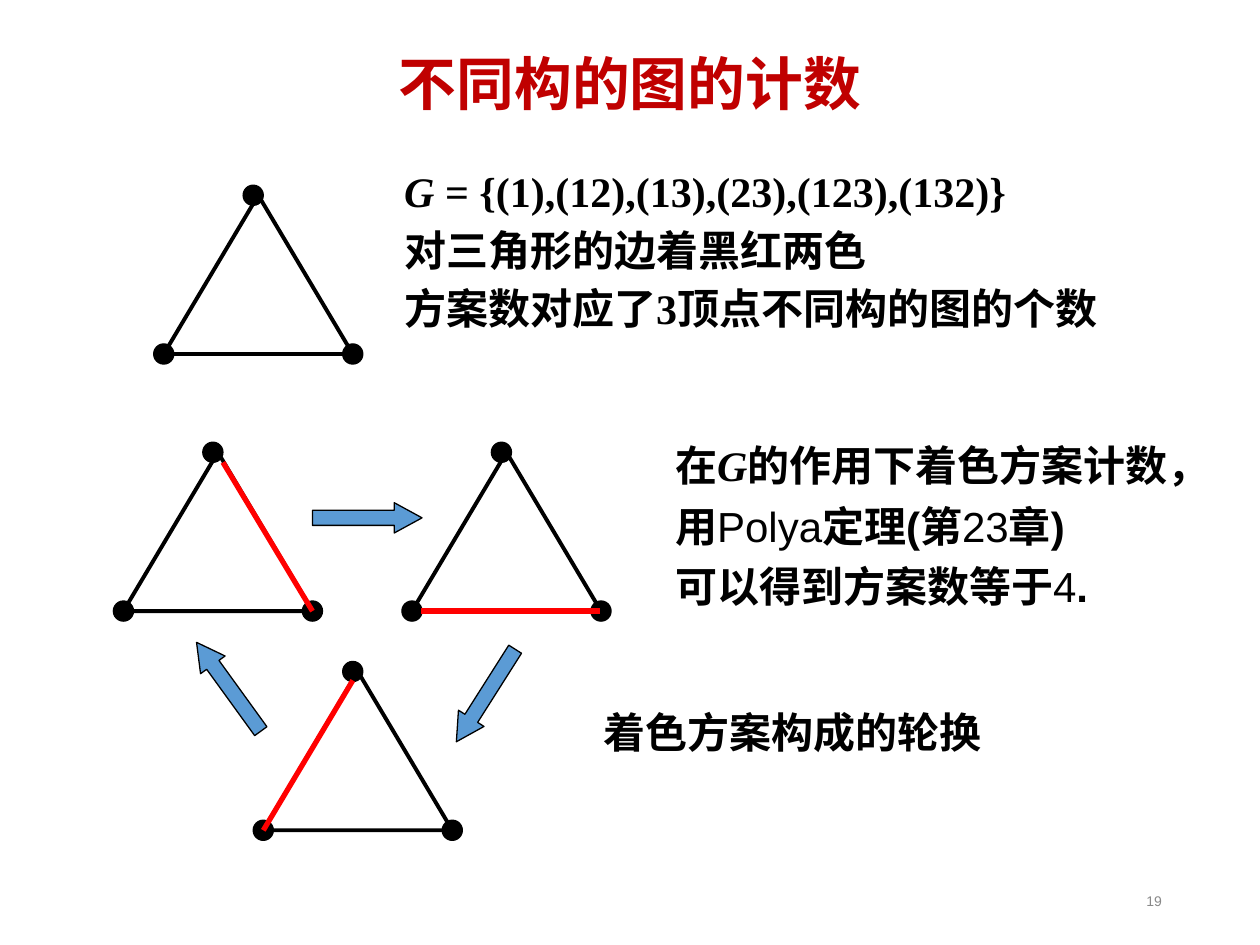
from lxml import etree
from pptx import Presentation
from pptx import util as u
from pptx.dml.color import RGBColor
from pptx.enum import shapes, text
from pptx.oxml.ns import qn

BLACK, WHITE, RED, BLUE = "000000", "FFFFFF", "FF0000", "5B9BD5"
TRIANGLE_WIDTH, TRIANGLE_HEIGHT, DOT = 1.5, 1.26, 0.16
SERIF = {"name": "Times New Roman"}
PLAIN = {"bold": False}


def color(value):
    return RGBColor.from_string(value)


class Sketch:
    """Draws coloured graphs, arrows and text on one slide."""

    def __init__(self, slide):
        self.slide = slide
        self.group = None

    def start_group(self):
        self.group = self.slide.shapes.add_group_shape()

    def shape(self, kind, left, top, width, height, fill, weight=0.75):
        box = [u.Inches(value) for value in (left, top, width, height)]
        shape = self.group.shapes.add_shape(kind, *box)
        shape.shadow.inherit = False
        shape.fill.solid()
        shape.fill.fore_color.rgb = color(fill)
        shape.line.color.rgb = color(BLACK)
        shape.line.width = u.Pt(weight)
        return shape

    def line(self, start, end):
        ends = [u.Inches(value) for value in (*start, *end)]
        line = self.group.shapes.add_connector(shapes.MSO_CONNECTOR.STRAIGHT, *ends)
        line.line.color.rgb = color(RED)
        line.line.width = u.Pt(3)
        etree.SubElement(line._element.spPr, qn("a:effectLst"))

    def graph(self, left, top, red_edge=None):
        self.shape(shapes.MSO_SHAPE.ISOSCELES_TRIANGLE, left, top,
                   TRIANGLE_WIDTH, TRIANGLE_HEIGHT, WHITE, 2.25)
        vertices = [(0, TRIANGLE_HEIGHT), (TRIANGLE_WIDTH, TRIANGLE_HEIGHT), (0.71, 0)]
        for x, y in vertices:
            self.shape(shapes.MSO_SHAPE.OVAL, left + x - DOT / 2, top + y - DOT / 2,
                       DOT, DOT, BLACK)
        if red_edge:
            self.line(*[(left + x, top + y) for x, y in red_edge])

    def arrow(self, left, top, rotation):
        arrow = self.shape(shapes.MSO_SHAPE.RIGHT_ARROW, left, top, 0.87, 0.24, BLUE)
        arrow.adjustments[1] = 0.917
        arrow.rotation = rotation

    def text(self, left, top, width, height, paragraphs, size=24, font="Arial", fill=BLACK,
             bold=True, align="LEFT", anchor="TOP", spacing=1.0, before=0, wrap=True):
        box = [u.Inches(value) for value in (left, top, width, height)]
        frame = self.slide.shapes.add_textbox(*box).text_frame
        frame.word_wrap = wrap
        if not wrap:
            frame.auto_size = text.MSO_AUTO_SIZE.SHAPE_TO_FIT_TEXT
        frame.vertical_anchor = text.MSO_ANCHOR[anchor]
        for index, runs in enumerate(paragraphs):
            paragraph = frame.add_paragraph() if index else frame.paragraphs[0]
            paragraph.alignment = text.PP_ALIGN[align]
            paragraph.line_spacing = spacing
            if index and before:
                paragraph.space_before = u.Pt(before)
            paragraph.font.name = font
            paragraph.font.size = u.Pt(size)
            paragraph.font.bold = bold
            paragraph.font.color.rgb = color(fill)
            for words, changes in runs:
                run = paragraph.add_run()
                run.text = words
                for attribute, value in changes.items():
                    setattr(run.font, attribute, value)


def main():
    presentation = Presentation()
    presentation.slide_width = u.Inches(10)
    presentation.slide_height = u.Inches(7.5)
    slide = presentation.slides.add_slide(presentation.slide_layouts[6])
    sketch = Sketch(slide)

    sketch.text(0.5, 0.3, 9, 0.77, [[("不同构的图的计数", {})]], size=33, font="Calibri",
                fill="C00000", align="CENTER", anchor="MIDDLE", spacing=0.9)
    sketch.text(3.11, 1.31, 6.09, 1.81, [
        [("G ", {"italic": True}), ("= {(1),(12),(13),(23),(123),(132)}", {})],
        [("对三角形的边着黑红两色", {})],
        [("方案数对应了3顶点不同构的图的个数", {})],
    ], font="Times New Roman", spacing=0.9, before=7.5)
    sketch.text(7.07, 6.95, 2.25, 0.4, [[("19", {})]], size=8, fill="898989",
                bold=False, align="RIGHT", anchor="MIDDLE")

    sketch.start_group()
    sketch.graph(1.3, 1.55)

    sketch.start_group()
    sketch.graph(0.98, 3.59, [(0.79, 0.08), (1.5, 1.26)])
    sketch.graph(3.27, 3.59, [(1.49, 1.26), (0.07, 1.26)])
    sketch.graph(2.09, 5.33, [(0.71, 0.07), (0, 1.26)])
    for left, top, rotation in [(2.48, 3.99, 0), (3.42, 5.4, 122.4), (1.38, 5.33, 234.1)]:
        sketch.arrow(left, top, rotation)

    sketch.text(4.69, 5.56, 3.22, 0.9, [[("着色方案构成的轮换", {})]], wrap=False)
    sketch.text(5.26, 3.36, 4.46, 2, [
        [("在", {}), ("G", {**SERIF, "italic": True}), ("的作用下着色方案计数，", {})],
        [("用", {}), ("Polya", PLAIN), ("定理(第", {}), ("23", PLAIN), ("章)", {})],
        [("可以得到方案数等于", {}), ("4", PLAIN), (".", {})],
    ], spacing=1.2, wrap=False)

    presentation.save("out.pptx")


if __name__ == "__main__":
    main()
